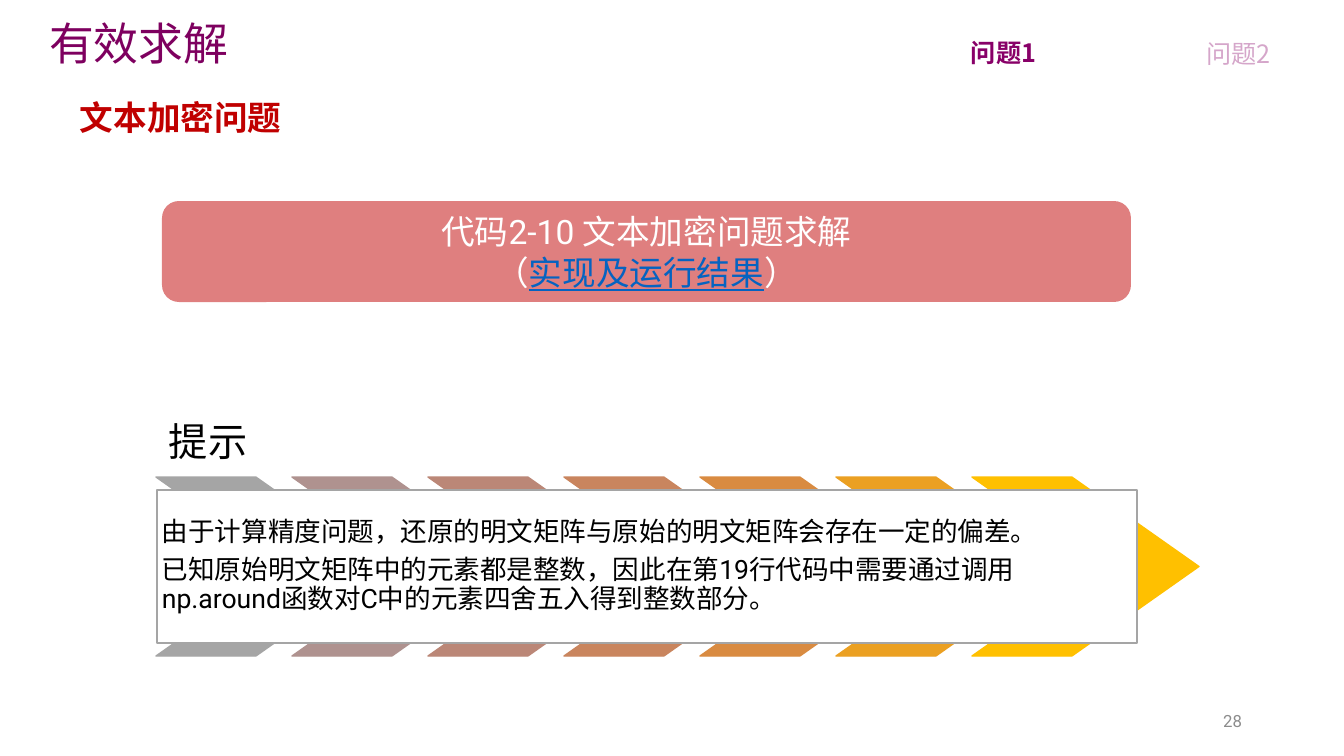
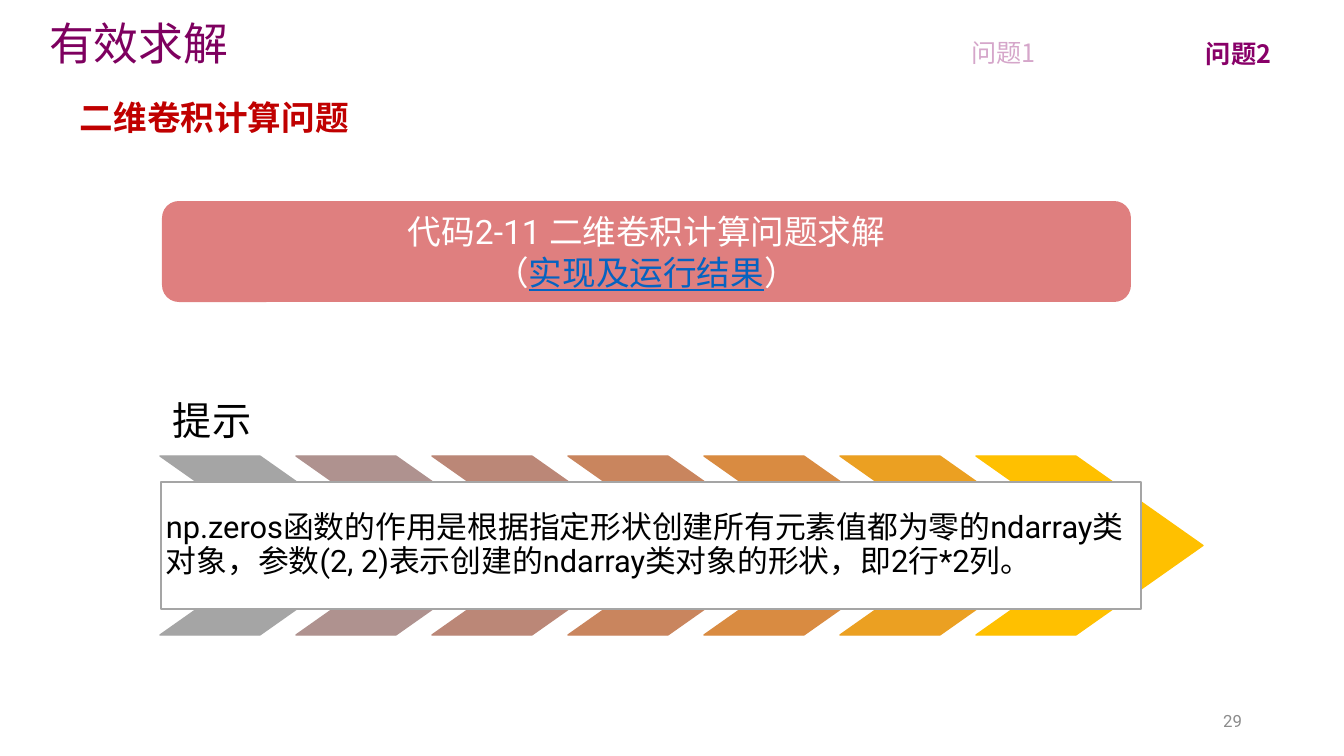
from lxml import etree
from pptx import Presentation
from pptx.dml.color import RGBColor
from pptx.enum.shapes import MSO_SHAPE
from pptx.enum.text import MSO_ANCHOR, MSO_AUTO_SIZE, PP_ALIGN
from pptx.oxml.ns import qn
from pptx.util import Pt

SANS, CJK, CJK_TAB = "Roboto", "Noto Sans CJK SC", "Noto Sans CJK JP"
PURPLE, TAB, RED, GREY = "7E005F", "880068", "C00000", "A5A5A5"
BLACK, WHITE, LINK, NUMBER = "000000", "FFFFFF", "0563C1", "8C8C8C"
CHEVRONS = [GREY, "AF928F", "BB8777", "C9855E", "D98B41", "EBA022", "FFC000"]


def px(n):
    """Turn pixels into EMU."""
    return round(n * 914400 / 100.8)


def paint(fill, hex_color, alpha=100):
    """Make a fill solid, with an opacity in percent."""
    fill.solid()
    fill.fore_color.rgb = RGBColor.from_string(hex_color)
    if alpha < 100:
        clr = next(fill._xPr.iter(qn("a:srgbClr")))
        etree.SubElement(clr, qn("a:alpha")).set("val", str(alpha * 1000))


class Deck:
    """Hold the shared style and the current slide."""

    def __init__(self):
        """Start an empty wide presentation."""
        self.prs = Presentation()
        self.prs.slide_width, self.prs.slide_height = px(1344), px(756)

    def slide(self, title):
        """Add a slide with its title in the placeholder."""
        self.s = self.prs.slides.add_slide(self.prs.slide_layouts[5])
        sp = self.s.shapes.title
        sp.left, sp.top, sp.width, sp.height = px(39), px(11), px(643), px(64)
        self.set_text(sp, [title], 32, PURPLE, font=CJK)

    def set_text(self, sp, paras, size, color, font=SANS, bold=False,
                 alpha=100, align=PP_ALIGN.LEFT, anchor=MSO_ANCHOR.TOP,
                 inset=None, spacing=None, after=0, wrap=True):
        """Fill a shape with paragraphs, each a string or a list of runs."""
        tf = sp.text_frame
        tf.word_wrap, tf.auto_size = wrap, MSO_AUTO_SIZE.NONE
        tf.vertical_anchor = anchor
        if inset is not None:
            tf.margin_left = tf.margin_right = px(inset)
            tf.margin_top = tf.margin_bottom = px(inset)
        for i, runs in enumerate(paras):
            p = tf.paragraphs[0] if i == 0 else tf.add_paragraph()
            p.alignment, p.line_spacing = align, spacing
            p.space_before, p.space_after = Pt(0), Pt(after)
            p.font.size, p.font.bold, p.font.name = Pt(size), bold, font
            paint(p.font.fill, color, alpha)
            latin = p.font._element.find(qn("a:latin"))
            ea = etree.Element(qn("a:ea"))
            ea.set("typeface", CJK if font == SANS else font)
            latin.addnext(ea)
            for run in [(runs, None)] if isinstance(runs, str) else runs:
                r = p.add_run()
                r.text = run[0]
                if run[1]:
                    paint(r.font.fill, run[1])
                    r.font.underline = True

    def text(self, x, y, w, h, paras, size, color, **style):
        """Add a text box."""
        sp = self.s.shapes.add_textbox(px(x), px(y), px(w), px(h))
        self.set_text(sp, paras, size, color, **style)

    def shape(self, kind, x, y, w, h, fill, line=None, alpha=100):
        """Add a flat preset shape."""
        sp = self.s.shapes.add_shape(kind, px(x), px(y), px(w), px(h))
        sp.shadow.inherit = False
        paint(sp.fill, fill, alpha)
        if line:
            paint(sp.line.fill, line)
            sp.line.width = Pt(1)
        else:
            sp.line.fill.background()
        return sp

    def tabs(self, active):
        """Add the problem tabs and stress the active one."""
        for i, (x, y, w) in enumerate([(932, 32, 143), (1064, 33, 349)], 1):
            self.text(x, y, w, 40, [f"问题{i}"], 18, TAB, font=CJK_TAB,
                      bold=i == active, alpha=100 if i == active else 34,
                      align=PP_ALIGN.CENTER)

    def banner(self, code):
        """Add the rounded code banner."""
        sp = self.shape(MSO_SHAPE.ROUNDED_RECTANGLE, 162, 201, 969, 101,
                        RED, alpha=50)
        result = [("（", None), ("实现及运行结果", LINK), ("）", None)]
        self.set_text(sp, [code, result], 24, WHITE, align=PP_ALIGN.CENTER,
                      anchor=MSO_ANCHOR.MIDDLE)

    def hint(self, x, y, box_h, paras, size):
        """Add the hint heading and its box over a row of chevrons."""
        self.text(x, y - 88, 967, 88, ["提示"], 28, BLACK, inset=12,
                  anchor=MSO_ANCHOR.BOTTOM, spacing=0.9)
        for i, color in enumerate(CHEVRONS):
            sp = self.shape(MSO_SHAPE.CHEVRON, x - 1 + 136 * i, y, 227, 179,
                            color, color)
            sp.adjustments[0] = 0.71
        sp = self.shape(MSO_SHAPE.RECTANGLE, x, y + (179 - box_h) // 2, 980,
                        box_h, WHITE, GREY)
        self.set_text(sp, paras, size, BLACK, anchor=MSO_ANCHOR.MIDDLE,
                      inset=5, spacing=0.9, after=7)

    def number(self, n):
        """Add the slide number."""
        self.text(950, 701, 302, 40, [str(n)], 12, NUMBER,
                  align=PP_ALIGN.RIGHT, anchor=MSO_ANCHOR.MIDDLE)


SLIDES = [
    ("文本加密问题", "代码2-10 文本加密问题求解", (157, 477, 153, [
        "由于计算精度问题，还原的明文矩阵与原始的明文矩阵会存在一定的偏差。",
        "已知原始明文矩阵中的元素都是整数，因此在第19行代码中需要通过调用"
        "np.around函数对C中的元素四舍五入得到整数部分。"], 19)),
    ("二维卷积计算问题", "代码2-11 二维卷积计算问题求解", (161, 456, 127, [
        "np.zeros函数的作用是根据指定形状创建所有元素值都为零的ndarray"
        "类对象，参数(2, 2)表示创建的ndarray类对象的形状，即2行*2列。"], 22)),
]


def main():
    """Build and save the slides."""
    deck = Deck()
    for i, (topic, code, hint) in enumerate(SLIDES, 1):
        deck.slide("有效求解")
        deck.tabs(i)
        deck.text(70, 92, 291, 50, [topic], 24, RED, font=CJK, bold=True,
                  wrap=False)
        deck.banner(code)
        deck.hint(*hint)
        deck.number(27 + i)
    deck.prs.save("out.pptx")


if __name__ == "__main__":
    main()
